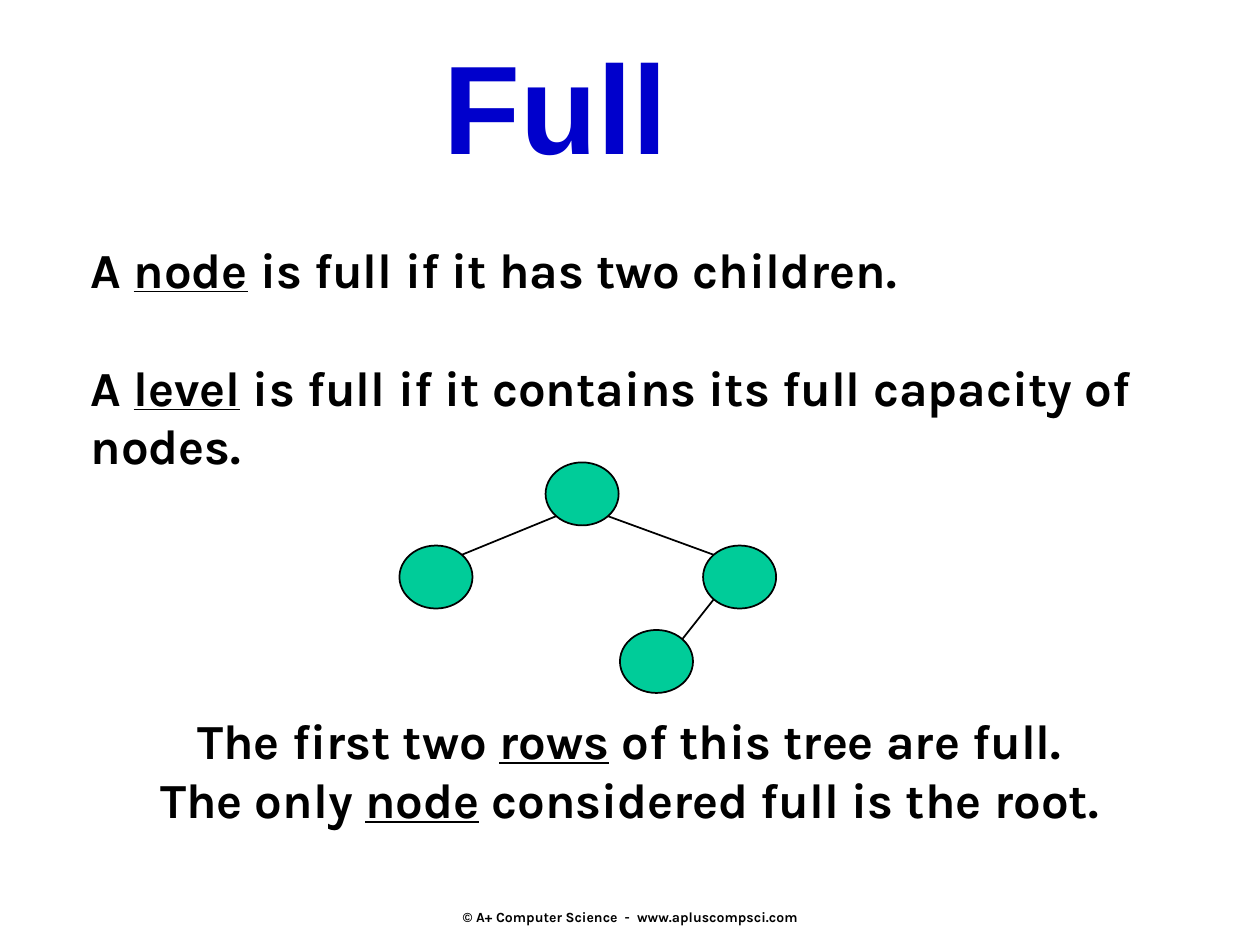
from math import sqrt
from pptx import Presentation
from pptx.dml.color import RGBColor
from pptx.enum import shapes, text
from pptx.oxml.ns import qn
from pptx.util import Inches, Pt
from lxml import etree

COLORS = {"title": "0000CC", "node": "00CC99", "ink": "000000"}
LEFT, MID = text.PP_ALIGN.LEFT, text.PP_ALIGN.CENTER


def color(name):
    return RGBColor.from_string(COLORS[name])


def write(para, words, size=28, font="Karla", ink="ink", align=LEFT, gap=0):
    """Fill a paragraph; words between underscores are underlined."""
    para.alignment = align
    para.space_before = Pt(gap)
    for i, part in enumerate(words.split("_")):
        run = para.add_run()
        run.text = part
        run.font.size = Pt(size)
        run.font.name = font
        run.font.bold = True
        run.font.underline = i % 2 == 1
        run.font.color.rgb = color(ink)


prs = Presentation()
prs.slide_width, prs.slide_height = Inches(10), Inches(7.5)
slide = prs.slides.add_slide(prs.slide_layouts[5])

# Title
title = slide.shapes.title
title.left, title.top = Inches(3.42), Inches(0.18)
title.width, title.height = Inches(2.33), Inches(1.31)
frame = title.text_frame
frame.word_wrap = False
frame.auto_size = text.MSO_AUTO_SIZE.NONE
frame.vertical_anchor = text.MSO_ANCHOR.TOP
write(frame.paragraphs[0], "Full", size=72, font="Arial", ink="title")

# Footer
foot = slide.shapes.add_textbox(Inches(3.42), Inches(6.83), Inches(3.17), Inches(0.5))
frame = foot.text_frame
frame.word_wrap = False
frame.vertical_anchor = text.MSO_ANCHOR.MIDDLE
frame.margin_top, frame.margin_bottom = Inches(0.4), 0
write(frame.paragraphs[0], "© A+ Computer Science  -  www.apluscompsci.com", size=8, align=MID)

# Definitions above the tree, remarks below it
LINE = 33.7
body = slide.shapes.add_textbox(Inches(0.62), Inches(1.85), Inches(8.75), Inches(4.81))
frame = body.text_frame
frame.word_wrap = True
lines = [
    ("A _node_ is full if it has two children.", LEFT, 0),
    ("A _level_ is full if it contains its full capacity of nodes.", LEFT, LINE),
    ("The first two _rows_ of this tree are full.", MID, 4 * LINE),
    ("The only _node_ considered full is the root.", MID, 0),
]
for i, (words, align, gap) in enumerate(lines):
    para = frame.add_paragraph() if i else frame.paragraphs[0]
    write(para, words, align=align, gap=gap)

# Tree nodes
WIDE, HIGH = 0.58, 0.5
nodes = {"root": (4.33, 3.67), "left": (3.17, 4.33), "right": (5.58, 4.33), "leaf": (4.92, 5)}
tree = slide.shapes.add_group_shape()
for x, y in nodes.values():
    oval = tree.shapes.add_shape(shapes.MSO_SHAPE.OVAL, Inches(x), Inches(y), Inches(WIDE), Inches(HIGH))
    oval.shadow.inherit = False
    oval.fill.solid()
    oval.fill.fore_color.rgb = color("node")
    oval.line.color.rgb = color("ink")
    oval.line.width = Pt(1)

# Tree edges join the diagonal points of the ovals
DX, DY = WIDE / sqrt(8), HIGH / sqrt(8)
for top, low, side in [("root", "left", -1), ("root", "right", 1), ("right", "leaf", -1)]:
    ends = []
    for name, sx, sy in [(top, side, 1), (low, -side, -1)]:
        x, y = nodes[name]
        ends += [Inches(x + WIDE / 2 + sx * DX), Inches(y + HIGH / 2 + sy * DY)]
    edge = tree.shapes.add_connector(shapes.MSO_CONNECTOR.STRAIGHT, *ends)
    edge.line.color.rgb = color("ink")
    edge.line.width = Pt(1)
    etree.SubElement(edge._element.spPr, qn("a:effectLst"))

prs.save("out.pptx")
